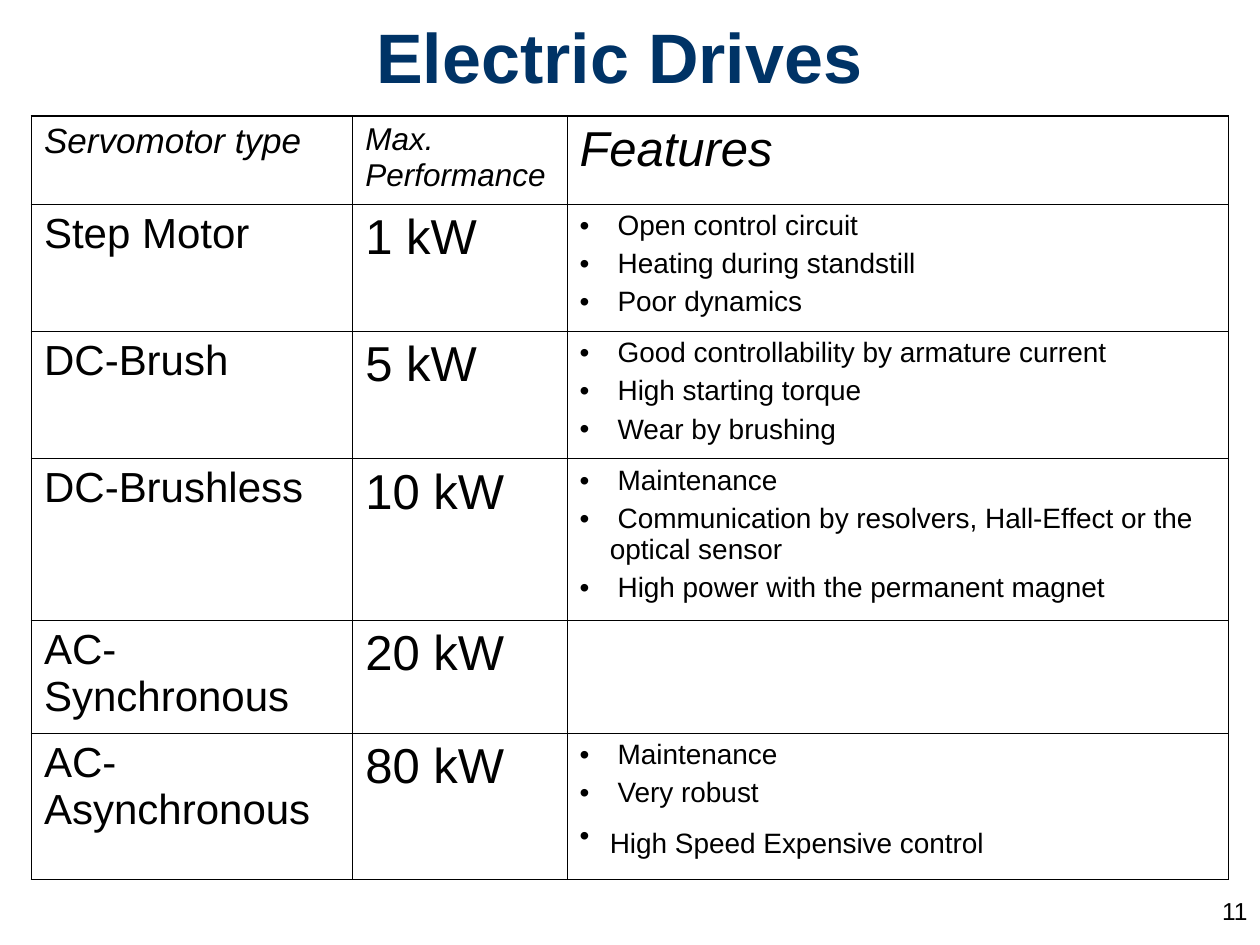
from lxml import etree
from pptx import Presentation
from pptx.dml.color import RGBColor
from pptx.enum.text import MSO_ANCHOR, PP_ALIGN
from pptx.oxml.ns import qn
from pptx.util import Inches, Pt

CENTER, RIGHT = PP_ALIGN.CENTER, PP_ALIGN.RIGHT
MIDDLE = MSO_ANCHOR.MIDDLE
FONT = "Arial"
NAVY, BLACK = "003366", "000000"
OUTER_LINE, INNER_LINE = 1.08, 0.45
BULLET_INDENT = Inches(0.24)

COLUMN_WIDTHS = [2.55, 1.7, 5.25]
ROW_HEIGHTS = [0.7, 1.01, 1.01, 1.28, 0.9, 1.16]
# Heading text, font size and space before
HEADINGS = [("Servomotor type", 20, 5), ("Max. Performance", 18, 4.5),
            ("Features", 28, 7)]
DRIVES = [
    ("Step Motor", "1 kW",
     [" Open control circuit", " Heating during standstill", " Poor dynamics"]),
    ("DC-Brush", "5 kW",
     [" Good controllability by armature current", " High starting torque",
      " Wear by brushing"]),
    ("DC-Brushless", "10 kW",
     [" Maintenance",
      " Communication by resolvers, Hall-Effect or the optical sensor",
      " High power with the permanent magnet"]),
    ("AC-Synchronous", "20 kW", []),
    ("AC-Asynchronous", "80 kW",
     [" Maintenance", " Very robust", "High Speed Expensive control"]),
]


def color(hex_value):
    return RGBColor.from_string(hex_value)


def format_runs(paragraph, size, hex_value=BLACK, bold=False, italic=False):
    for run in paragraph.runs:
        font = run.font
        font.name, font.size = FONT, Pt(size)
        font.bold, font.italic = bold, italic
        font.color.rgb = color(hex_value)


def add_trailing_space(paragraph, size):
    """A larger closing space sets the height of the line."""
    space = paragraph.add_run()
    space.text = " "
    space.font.name, space.font.size = FONT, Pt(size)


def add_bullet(paragraph):
    properties = paragraph._p.get_or_add_pPr()
    properties.set("marL", str(BULLET_INDENT))
    properties.set("indent", str(-BULLET_INDENT))
    etree.SubElement(properties, qn("a:buFont"), typeface=FONT)
    etree.SubElement(properties, qn("a:buChar"), char="•")


def set_borders(cell, widths):
    """Draw the left, right, top and bottom borders, in that order."""
    properties = cell._tc.get_or_add_tcPr()
    for index, (side, width) in enumerate(zip("LRTB", widths)):
        line = etree.Element(qn(f"a:ln{side}"), w=str(Pt(width)))
        fill = etree.SubElement(line, qn("a:solidFill"))
        etree.SubElement(fill, qn("a:srgbClr"), val=BLACK)
        properties.insert(index, line)


def fill_cell(cell, text, size, space_before, italic=False):
    cell.text_frame.text = text
    paragraph = cell.text_frame.paragraphs[0]
    paragraph.space_before = Pt(space_before)
    format_runs(paragraph, size, italic=italic)


def fill_features(cell, features):
    cell.text_frame.text = "\n".join(features)
    for paragraph, feature in zip(cell.text_frame.paragraphs, features):
        format_runs(paragraph, 16)
        if feature.startswith(" "):
            paragraph.space_before = Pt(4)
        else:
            paragraph.space_before = Pt(0)
            add_trailing_space(paragraph, 28)
        add_bullet(paragraph)


def add_title(slide):
    title = slide.shapes.title
    title.left, title.top = Inches(0), Inches(0)
    title.width, title.height = Inches(10), Inches(0.83)
    title.text_frame.text = "Electric Drives"
    title.text_frame.vertical_anchor = MIDDLE
    heading = title.text_frame.paragraphs[0]
    heading.alignment = CENTER
    format_runs(heading, 40, NAVY, bold=True)
    add_trailing_space(heading, 44)


def style_grid(table):
    last_row, last_column = len(ROW_HEIGHTS) - 1, len(COLUMN_WIDTHS) - 1
    for r in range(last_row + 1):
        for c in range(last_column + 1):
            cell = table.cell(r, c)
            cell.fill.background()
            on_edge = [c == 0, c == last_column, r == 0, r == last_row]
            set_borders(cell, [OUTER_LINE if edge else INNER_LINE
                               for edge in on_edge])


def add_drive_table(slide):
    table = slide.shapes.add_table(
        len(ROW_HEIGHTS), len(COLUMN_WIDTHS), Inches(0.25), Inches(0.92),
        Inches(sum(COLUMN_WIDTHS)), Inches(sum(ROW_HEIGHTS))).table
    table.first_row = table.horz_banding = False
    for column, width in zip(table.columns, COLUMN_WIDTHS):
        column.width = Inches(width)
    for row, height in zip(table.rows, ROW_HEIGHTS):
        row.height = Inches(height)
    style_grid(table)

    # Heading row
    for c, (text, size, space_before) in enumerate(HEADINGS):
        fill_cell(table.cell(0, c), text, size, space_before, italic=True)

    # One row for each drive
    for r, (motor, power, features) in enumerate(DRIVES, start=1):
        fill_cell(table.cell(r, 0), motor, 24, 6)
        fill_cell(table.cell(r, 1), power, 28, 7)
        fill_features(table.cell(r, 2), features)


def add_page_number(slide):
    page_number = slide.shapes.add_textbox(
        Inches(7.67), Inches(7.06), Inches(2.33), Inches(0.44))
    page_number.text_frame.word_wrap = True
    page_number.text_frame.text = "11"
    paragraph = page_number.text_frame.paragraphs[0]
    paragraph.alignment = RIGHT
    format_runs(paragraph, 14)


def main():
    presentation = Presentation()
    presentation.slide_width = Inches(10)
    presentation.slide_height = Inches(7.5)
    slide = presentation.slides.add_slide(presentation.slide_layouts[5])
    add_title(slide)
    add_drive_table(slide)
    add_page_number(slide)
    presentation.save("out.pptx")


if __name__ == "__main__":
    main()
